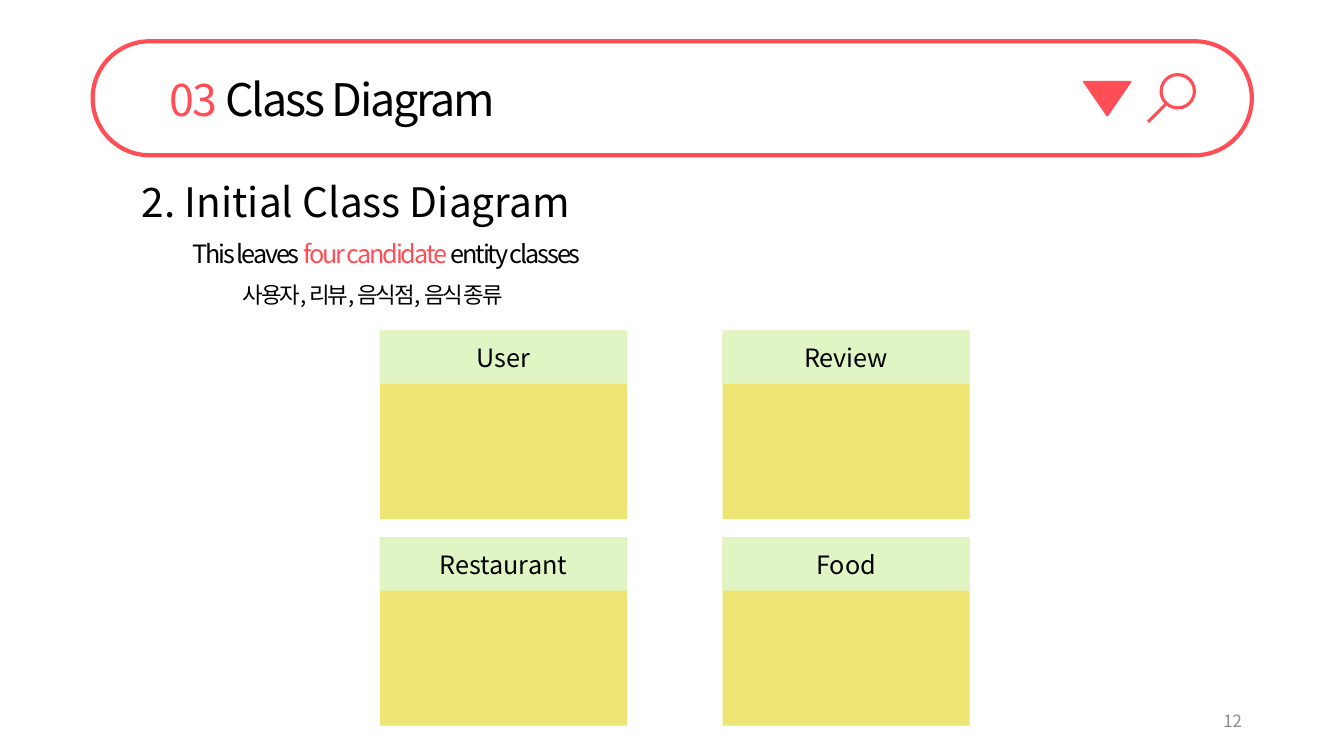
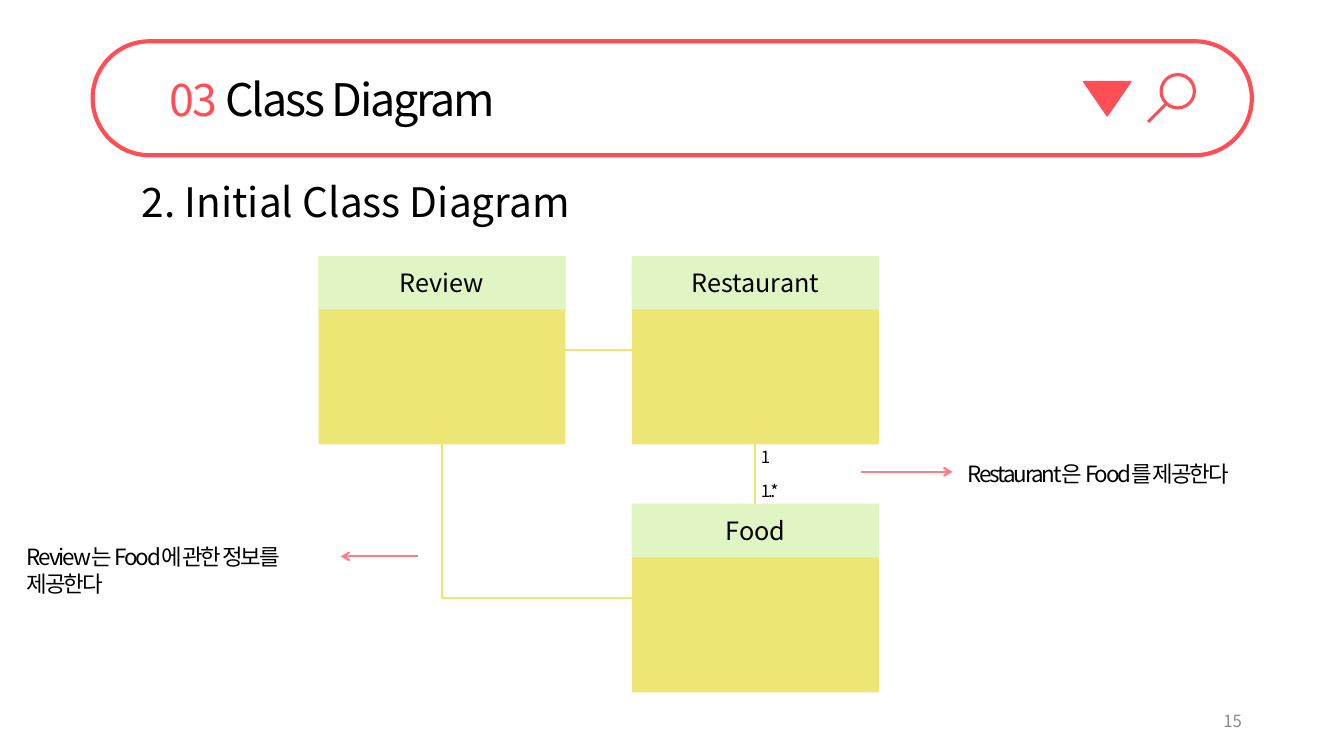
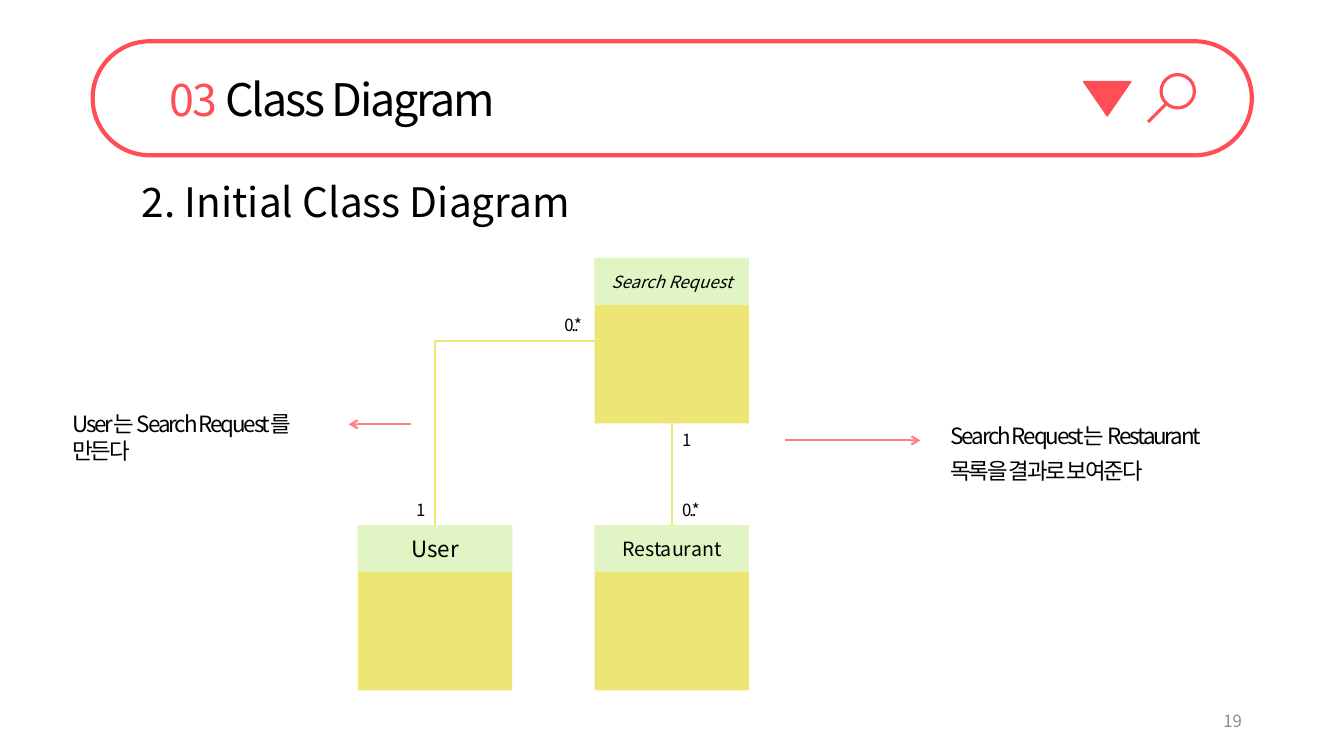
from dataclasses import dataclass

from lxml import etree
from pptx import Presentation
from pptx.dml.color import RGBColor
from pptx.enum.shapes import MSO_CONNECTOR, MSO_SHAPE
from pptx.enum.text import MSO_ANCHOR, MSO_AUTO_SIZE, PP_ALIGN
from pptx.oxml.ns import qn
from pptx.shapes.autoshape import Shape
from pptx.shapes.connector import Connector
from pptx.shapes.shapetree import GroupShapes
from pptx.slide import Slide
from pptx.text.text import _Paragraph as Paragraph
from pptx.util import Pt

STRAIGHT, ELBOW = MSO_CONNECTOR.STRAIGHT, MSO_CONNECTOR.ELBOW
RECTANGLE, ROUNDED = MSO_SHAPE.RECTANGLE, MSO_SHAPE.ROUNDED_RECTANGLE
ELLIPSE, TRIANGLE = MSO_SHAPE.OVAL, MSO_SHAPE.ISOSCELES_TRIANGLE
MIDDLE, CENTER, RIGHT_ALIGN = MSO_ANCHOR.MIDDLE, PP_ALIGN.CENTER, PP_ALIGN.RIGHT
GROW = MSO_AUTO_SIZE.SHAPE_TO_FIT_TEXT
# Connection sites of a rectangle
TOP, LEFT, BOTTOM, RIGHT = range(4)


@dataclass(frozen=True)
class Theme:
    font: str = "Noto Sans CJK KR"
    accent: str = "FF4E55"
    arrow: str = "FF7D83"
    class_body: str = "EDE574"
    class_header: str = "E1F5C4"
    text: str = "000000"
    page_number: str = "8C8C8C"
    title_size: float = 32
    heading_size: float = 29
    class_size: float = 18
    note_size: float = 16
    label_size: float = 12
    tight: float = -1.5
    line_width: float = 1.5


THEME = Theme()


@dataclass(frozen=True)
class Box:
    left: float
    top: float
    width: float
    height: float


@dataclass(frozen=True)
class ClassBox:
    name: str
    left: float
    top: float
    width: float = 176.4
    height: float = 134.6
    size: float = THEME.class_size
    italic: bool = False


@dataclass(frozen=True)
class Association:
    """A line between two classes; an elbow leaves its start sideways."""
    start: str
    start_site: int
    end: str
    end_site: int
    elbow: bool = False


@dataclass(frozen=True)
class Label:
    text: str
    left: float
    top: float


@dataclass(frozen=True)
class Note:
    text: str
    box: Box
    arrow_start: float
    arrow_end: float
    arrow_top: float
    line_spacing: float = 1.0


@dataclass(frozen=True)
class Diagram:
    page: int
    classes: list[ClassBox]
    associations: list[Association]
    labels: list[Label]
    notes: list[Note]


HEADING = "2. Initial Class Diagram"
SMALL = (110.2, 118.1)

DIAGRAMS = [
    Diagram(
        12,
        [ClassBox("User", 271.4, 236.2), ClassBox("Restaurant", 271.4, 383.8),
         ClassBox("Food", 516.2, 383.8), ClassBox("Review", 516.2, 236.2)],
        [], [], [],
    ),
    Diagram(
        15,
        [ClassBox("Restaurant", 451.4, 182.9), ClassBox("Food", 451.4, 360),
         ClassBox("Review", 227.5, 182.9)],
        [Association("Restaurant", BOTTOM, "Food", TOP),
         Association("Food", LEFT, "Review", BOTTOM, elbow=True),
         Association("Review", RIGHT, "Restaurant", LEFT)],
        [Label("1..*", 536.4, 339.8), Label("1", 536.4, 315.4)],
        [Note("Restaurant은 Food를 제공한다", Box(684, 325.4, 213.8, 26.6), 614.9, 680.4, 337),
         Note("Review는 Food에 관한 정보를 제공한다", Box(12.2, 384.5, 239.8, 26.6),
              298.8, 243.4, 397.4)],
    ),
    Diagram(
        19,
        [ClassBox("Search Request", 424.8, 184.3, *SMALL, size=12, italic=True),
         ClassBox("User", 255.6, 375.1, *SMALL, size=16),
         ClassBox("Restaurant", 424.8, 375.1, *SMALL, size=14)],
        [Association("Search Request", LEFT, "User", TOP, elbow=True),
         Association("Search Request", BOTTOM, "Restaurant", TOP)],
        [Label("0..*", 396, 221), Label("1", 290.2, 353.5),
         Label("1", 480.2, 303.1), Label("0..*", 480.2, 353.5)],
        [Note("Search Request는 Restaurant 목록을 결과로 보여준다",
              Box(671.8, 292.3, 231.1, 57.6), 560.9, 657.4, 314.6, 1.3),
         Note("User는 Search Request를 만든다", Box(44.6, 289.4, 204.5, 26.6),
              293.8, 249.1, 303.1)],
    ),
]


def add_run(paragraph: Paragraph, text: str, size: float, color: str = THEME.text,
            spacing: float = 0, italic: bool = False) -> None:
    run = paragraph.add_run()
    run.text = text
    font = run.font
    font.size = Pt(size)
    font.name = THEME.font
    font.color.rgb = RGBColor.from_string(color)
    if italic:
        font.italic = True
    properties = run._r.get_or_add_rPr()
    if spacing:
        properties.set("spc", str(round(spacing * 100)))
    etree.SubElement(properties, qn("a:ea")).set("typeface", THEME.font)


def indent(paragraph: Paragraph, level: int) -> None:
    paragraph.level = level
    properties = paragraph._p.get_or_add_pPr()
    properties.set("marL", str(Pt(36 * level)))
    properties.set("indent", "0")


def add_text_box(slide: Slide, box: Box) -> Shape:
    shape = slide.shapes.add_textbox(Pt(box.left), Pt(box.top), Pt(box.width), Pt(box.height))
    shape.text_frame.word_wrap = True
    return shape


def add_preset(shapes: GroupShapes, kind: MSO_SHAPE, box: Box, fill: str | None = None,
               line: str | None = None, line_width: float = 1) -> Shape:
    shape = shapes.add_shape(kind, Pt(box.left), Pt(box.top), Pt(box.width), Pt(box.height))
    shape.shadow.inherit = False
    if fill:
        shape.fill.solid()
        shape.fill.fore_color.rgb = RGBColor.from_string(fill)
    else:
        shape.fill.background()
    if line:
        shape.line.color.rgb = RGBColor.from_string(line)
        shape.line.width = Pt(line_width)
    else:
        shape.line.fill.background()
    return shape


def style_connector(connector: Connector, color: str, width: float = THEME.line_width,
                    arrow: bool = False) -> None:
    connector.line.color.rgb = RGBColor.from_string(color)
    connector.line.width = Pt(width)
    properties = connector.element.spPr
    if arrow:
        etree.SubElement(properties.find(qn("a:ln")), qn("a:tailEnd")).set("type", "arrow")
    etree.SubElement(properties, qn("a:effectLst"))


def add_title_bar(slide: Slide) -> None:
    """Draw the search-field title with its triangle and magnifier."""
    shapes = slide.shapes.add_group_shape().shapes
    bar = add_preset(shapes, ROUNDED, Box(66.2, 29.5, 828, 81.4), line=THEME.accent, line_width=3)
    bar.adjustments[0] = 0.5
    bar.text_frame.vertical_anchor = MIDDLE
    paragraph = bar.text_frame.paragraphs[0]
    paragraph.alignment = PP_ALIGN.LEFT
    indent(paragraph, 1)
    add_run(paragraph, "03", THEME.title_size, THEME.accent, THEME.tight)
    add_run(paragraph, " Class Diagram", THEME.title_size, spacing=THEME.tight)

    add_preset(shapes, ELLIPSE, Box(829.4, 53.3, 23.8, 23.8), line=THEME.accent, line_width=2.25)
    handle = shapes.add_connector(STRAIGHT, Pt(833), Pt(74.2), Pt(820.1), Pt(87.1))
    style_connector(handle, THEME.accent, 2.25)
    triangle = add_preset(shapes, TRIANGLE, Box(774, 58.3, 33.8, 24.5), THEME.accent, THEME.accent)
    triangle.rotation = 180


def add_page_number(slide: Slide, page: int) -> None:
    frame = add_text_box(slide, Box(678.2, 500.4, 216, 28.8)).text_frame
    frame.vertical_anchor = MIDDLE
    frame.paragraphs[0].alignment = RIGHT_ALIGN
    add_run(frame.paragraphs[0], str(page), THEME.label_size, THEME.page_number)


def add_heading(slide: Slide, height: float) -> Shape:
    shape = add_text_box(slide, Box(94.3, 115.9, 760.3, height))
    paragraph = shape.text_frame.paragraphs[0]
    paragraph.line_spacing = 1.2
    add_run(paragraph, HEADING, THEME.heading_size)
    return shape


def add_candidates(heading: Shape) -> None:
    """List the candidate classes below the heading."""
    lines = [
        (18, [("This leaves ", THEME.text), ("four candidate ", THEME.accent),
              ("entity classes", THEME.text)]),
        (16, [("사용자, 리뷰, 음식점, 음식 종류", THEME.text)]),
    ]
    for level, (size, runs) in enumerate(lines, start=1):
        paragraph = heading.text_frame.add_paragraph()
        indent(paragraph, level)
        paragraph.line_spacing = 1.2
        paragraph.space_before = Pt(5)
        for text, color in runs:
            add_run(paragraph, text, size, color, THEME.tight)


def add_class(slide: Slide, item: ClassBox) -> Shape:
    """Draw a class and return its body, to which associations attach."""
    shapes = slide.shapes.add_group_shape().shapes
    body = add_preset(shapes, RECTANGLE, Box(item.left, item.top, item.width, item.height),
                      THEME.class_body)
    header_box = Box(item.left, item.top, item.width, item.height * 0.283)
    header = add_preset(shapes, RECTANGLE, header_box, THEME.class_header)
    header.text_frame.vertical_anchor = MIDDLE
    paragraph = header.text_frame.paragraphs[0]
    paragraph.alignment = CENTER
    add_run(paragraph, item.name, item.size, italic=item.italic)
    return body


def add_association(slide: Slide, item: Association, bodies: dict[str, Shape]) -> None:
    kind = ELBOW if item.elbow else STRAIGHT
    connector = slide.shapes.add_connector(kind, 0, 0, 0, 0)
    connector.begin_connect(bodies[item.start], item.start_site)
    connector.end_connect(bodies[item.end], item.end_site)
    if item.elbow:
        connector.element.spPr.find(qn("a:prstGeom")).set("prst", "bentConnector2")
    style_connector(connector, THEME.class_body)


def add_label(slide: Slide, item: Label) -> None:
    frame = add_text_box(slide, Box(item.left, item.top, 28.8, 21.6)).text_frame
    frame.margin_right = 0
    frame.auto_size = GROW
    add_run(frame.paragraphs[0], item.text, THEME.label_size, spacing=THEME.tight)


def add_note(slide: Slide, item: Note) -> None:
    frame = add_text_box(slide, item.box).text_frame
    frame.auto_size = GROW
    paragraph = frame.paragraphs[0]
    paragraph.line_spacing = item.line_spacing
    add_run(paragraph, item.text, THEME.note_size, spacing=THEME.tight)
    top = Pt(item.arrow_top)
    arrow = slide.shapes.add_connector(STRAIGHT, Pt(item.arrow_start), top,
                                       Pt(item.arrow_end), top)
    style_connector(arrow, THEME.arrow, arrow=True)


def add_diagram(presentation: Presentation, diagram: Diagram) -> None:
    slide = presentation.slides.add_slide(presentation.slide_layouts[6])
    add_page_number(slide, diagram.page)
    add_title_bar(slide)
    if diagram.associations:
        add_heading(slide, 68.4)
    else:
        add_candidates(add_heading(slide, 424))
    bodies = {item.name: add_class(slide, item) for item in diagram.classes}
    for association in diagram.associations:
        add_association(slide, association, bodies)
    for label in diagram.labels:
        add_label(slide, label)
    for note in diagram.notes:
        add_note(slide, note)


def main() -> None:
    presentation = Presentation()
    presentation.slide_width, presentation.slide_height = Pt(960), Pt(540)
    for diagram in DIAGRAMS:
        add_diagram(presentation, diagram)
    presentation.save("out.pptx")


if __name__ == "__main__":
    main()
